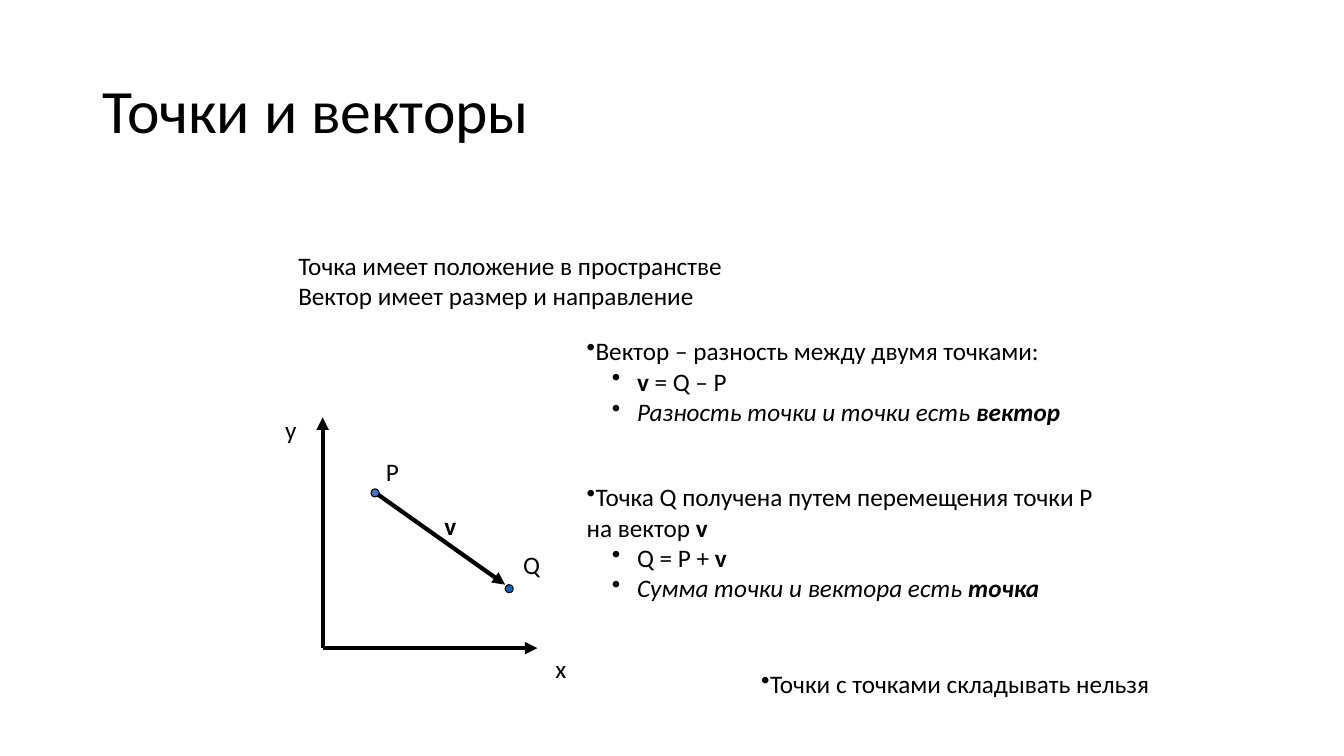
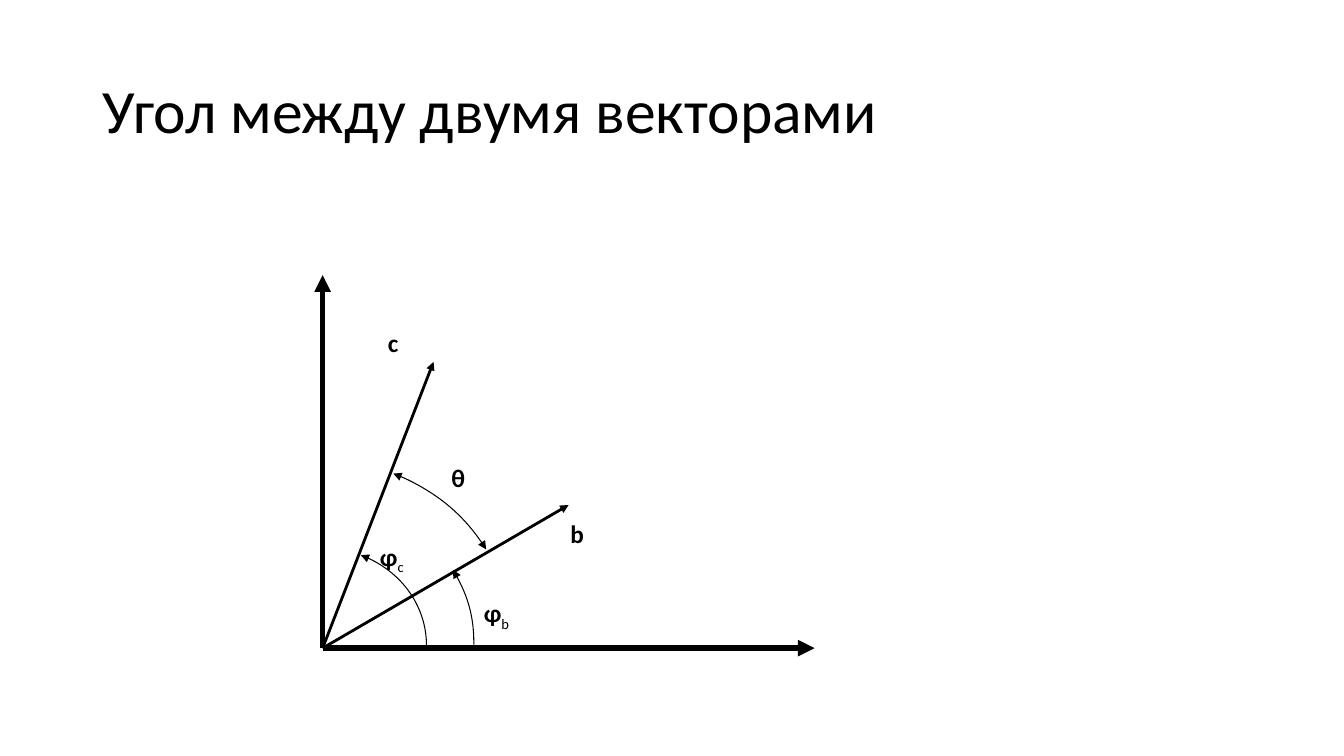
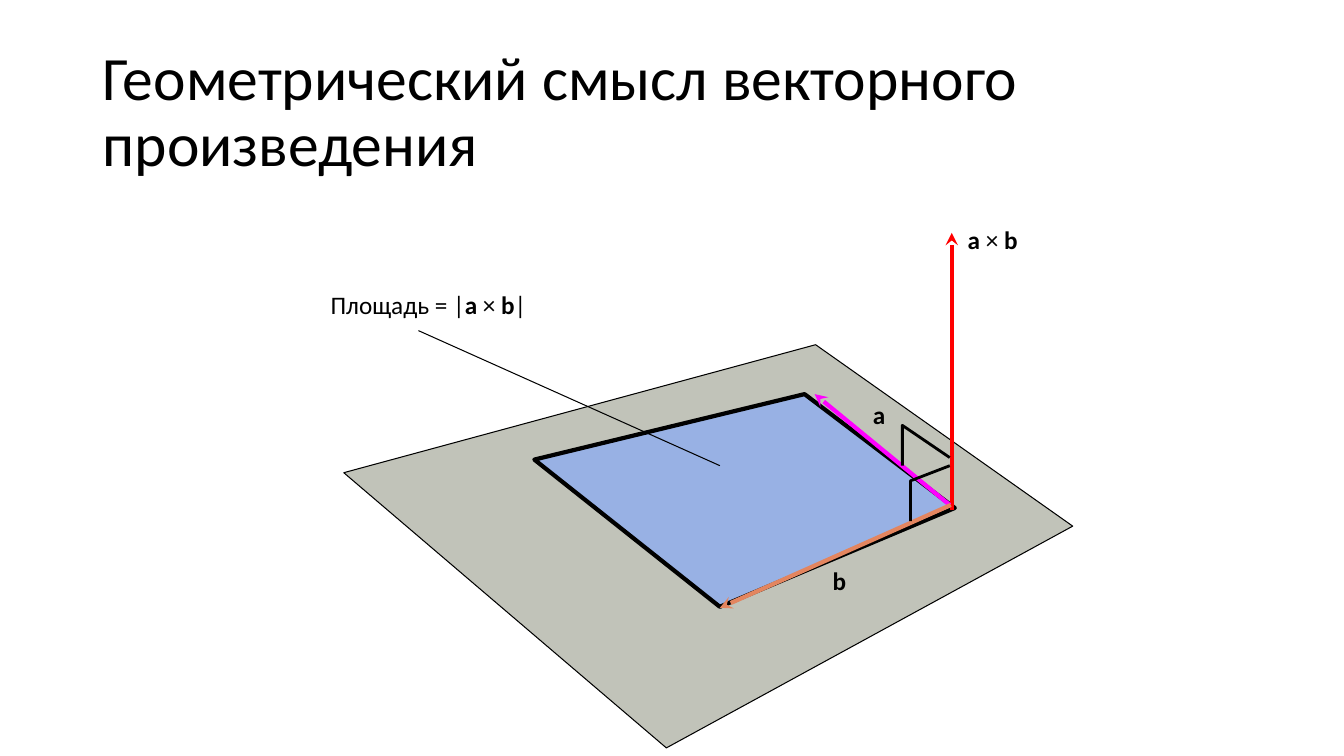
from dataclasses import dataclass
from typing import Any

from lxml import etree
from pptx import Presentation
from pptx import util as u
from pptx.dml import color
from pptx.enum import shapes, text
from pptx.oxml import ns

SCALE = 9144
FONT = "Calibri"
COLORS = {
    "ink": "000000",
    "point_p": "4472C4",
    "point_q": "0563C1",
    "plane": "C1C3B9",
    "area": "98B1E4",
    "normal": "FF0000",
    "side_a": "FF00FF",
    "side_b": "E3855F",
}


def px(*lengths):
    return [u.Emu(length * SCALE) for length in lengths]


def rgb(name):
    return color.RGBColor.from_string(COLORS[name])


def style_line(shape, ink, width, **ends):
    shape.line.color.rgb = rgb(ink)
    shape.line.width = u.Pt(width)
    line = shape.element.spPr.find(ns.qn("a:ln"))
    for side in ("head", "tail"):
        if side in ends:
            etree.SubElement(line, ns.qn(f"a:{side}End"), type=ends[side])


def style_fill(shape, fill):
    shape.shadow.inherit = False
    if fill:
        shape.fill.solid()
        shape.fill.fore_color.rgb = rgb(fill)
    else:
        shape.fill.background()


def add_bullet(paragraph, level):
    properties = paragraph._p.get_or_add_pPr()
    margin, indent = px(50 * level, -25 * level)
    properties.set("marL", str(margin))
    properties.set("indent", str(indent))
    etree.SubElement(properties, ns.qn("a:buChar"), char="•")


def add_run(paragraph, wording, style=""):
    run = paragraph.add_run()
    run.text = wording
    if "b" in style:
        run.font.bold = True
    if "i" in style:
        run.font.italic = True
    if "s" in style:
        run._r.get_or_add_rPr().set("baseline", "-25000")


@dataclass
class Region:
    slide: Any
    left: int
    top: int

    def at(self, x, y):
        return px(self.left + x, self.top + y)

    def add_text(self, x, y, width, height, paragraphs, size=18, wrap=False, bullets=()):
        box = self.slide.shapes.add_textbox(*self.at(x, y), *px(width, height))
        frame = box.text_frame
        frame.word_wrap = wrap
        for index, runs in enumerate(paragraphs):
            paragraph = frame.add_paragraph() if index else frame.paragraphs[0]
            if bullets:
                add_bullet(paragraph, bullets[index])
            paragraph.font.name = FONT
            paragraph.font.size = u.Pt(size)
            paragraph.font.color.rgb = rgb("ink")
            for run in runs:
                add_run(paragraph, *run)
        return frame

    def label(self, x, y, width, *runs):
        self.add_text(x, y, width, 40, [runs])

    def line(self, start, end, width, ink="ink", **ends):
        connector = self.slide.shapes.add_connector(
            shapes.MSO_CONNECTOR.STRAIGHT, *self.at(*start), *self.at(*end))
        style_line(connector, ink, width, **ends)
        etree.SubElement(connector.element.spPr, ns.qn("a:effectLst"))

    def axes(self, x_length, y_length, width):
        for end in ((0, -y_length), (x_length, 0)):
            self.line((0, 0), end, width, tail="triangle")

    def dot(self, x, y, fill):
        dot = self.slide.shapes.add_shape(
            shapes.MSO_SHAPE.OVAL, *self.at(x, y), *px(8, 8))
        style_fill(dot, fill)
        style_line(dot, "ink", 0.75)

    def arc(self, center_y, radius_x, radius_y, start, end, **ends):
        arc = self.slide.shapes.add_shape(
            shapes.MSO_SHAPE.ARC, *self.at(-radius_x, center_y - radius_y),
            *px(2 * radius_x, 2 * radius_y))
        arc.adjustments[0] = start * 0.6
        arc.adjustments[1] = end * 0.6
        style_fill(arc, None)
        style_line(arc, "ink", 0.75, **ends)

    def outline(self, points, width, fill=None):
        placed = [(self.left + x, self.top + y) for x, y in points]
        builder = self.slide.shapes.build_freeform(*placed[0], scale=SCALE)
        builder.add_line_segments(placed[1:], close=bool(fill))
        shape = builder.convert_to_shape()
        style_fill(shape, fill)
        style_line(shape, "ink", width)


def add_titled_slide(presentation, title):
    slide = presentation.slides.add_slide(presentation.slide_layouts[6])
    frame = Region(slide, 92, 40).add_text(0, 0, 1150, 145, [[(title,)]], size=44, wrap=True)
    frame.vertical_anchor = text.MSO_ANCHOR.MIDDLE
    frame.paragraphs[0].line_spacing = 0.9
    return slide


def draw_points(slide, left, top):
    region = Region(slide, left, top)
    region.axes(213, 229, 3)
    region.line((54, -153), (181, -63), 3, tail="triangle")
    region.dot(48, -158, "point_p")
    region.dot(181, -63, "point_q")
    for x, y, width, *run in (
        (53, -195, 34, "P"),
        (189, -103, 38, "Q"),
        (111, -142, 38, "v", "b"),
        (221, 0, 32, "x"),
        (-47, -237, 33, "y"),
    ):
        region.label(x, y, width, run)


def add_rules(slide, left, top):
    region = Region(slide, left, top)
    region.add_text(0, 0, 488, 70, [
        [("Точка имеет положение в пространстве",)],
        [("Вектор имеет размер и направление",)],
    ], wrap=True)
    rules = (
        (286, 85, 536, 101, (
            [("Вектор – разность между двумя точками:",)],
            [("v", "b"), (" = Q – P",)],
            [("Разность точки и точки есть ", "i"), ("вектор", "bi")],
        )),
        (286, 230, 536, 130, (
            [("Точка Q получена путем перемещения точки P на вектор ",), ("v", "b")],
            [("Q = P + ",), ("v", "b")],
            [("Сумма точки и вектора есть ", "i"), ("точка", "bi")],
        )),
        (459, 415, 425, 40, ([("Точки с точками складывать нельзя",)],)),
    )
    for *box, paragraphs in rules:
        region.add_text(*box, paragraphs, wrap=True, bullets=(0, 1, 1))


def draw_angles(slide, left, top):
    region = Region(slide, left, top)
    region.axes(488, 370, 4)
    for end in ((110, -284), (244, -142)):
        region.line((0, 0), end, 2, tail="triangle")
    angle_c, angle_b = 293, 331
    region.arc(-3, 103, 96, angle_c, 2, head="triangle")
    region.arc(-6, 150, 141, angle_b, 1, head="triangle")
    region.arc(-8, 188, 178, angle_c, angle_b, head="triangle", tail="triangle")
    region.label(236, -134, 36, ("b", "b"))
    region.label(55, -323, 33, ("c", "b"))
    region.label(150, -55, 50, ("φ", "b"), ("b", "s"))
    region.label(47, -111, 49, ("φ", "b"), ("c", "s"))
    region.label(118, -189, 36, ("θ", "b"))


def draw_product(slide, left, top):
    region = Region(slide, left, top)
    product = [("a ", "b"), ("× ",), ("b", "b")]
    region.outline([(320, 524), (0, 251), (468, 124), (723, 304)], 0.75, "plane")
    region.outline([(373, 384), (189, 238), (457, 173), (606, 286)], 3, "area")
    for start, end, ink in (
        ((603, 288), (603, 13), "normal"),
        ((601, 283), (467, 173), "side_a"),
        ((602, 283), (373, 385), "side_b"),
    ):
        region.line(start, end, 3, ink, tail="stealth")
    region.outline([(562, 299), (562, 259), (601, 244)], 2)
    region.outline([(554, 244), (554, 204), (601, 236)], 2)
    region.label(-23, 64, 242, ("Площадь = |",), *product, ("|",))
    region.line((74, 110), (373, 244), 0.75)
    region.label(515, 173, 35, ("a", "b"))
    region.label(475, 338, 36, ("b", "b"))
    region.label(609, 0, 80, *product)


def main():
    presentation = Presentation()
    presentation.slide_width, presentation.slide_height = px(1333, 750)

    slide = add_titled_slide(presentation, "Точки и векторы")
    draw_points(slide, 320, 643)
    add_rules(slide, 286, 243)

    slide = add_titled_slide(presentation, "Угол между двумя векторами")
    draw_angles(slide, 320, 643)

    slide = add_titled_slide(presentation, "Геометрический смысл векторного произведения")
    draw_product(slide, 341, 218)

    presentation.save("out.pptx")


if __name__ == "__main__":
    main()
